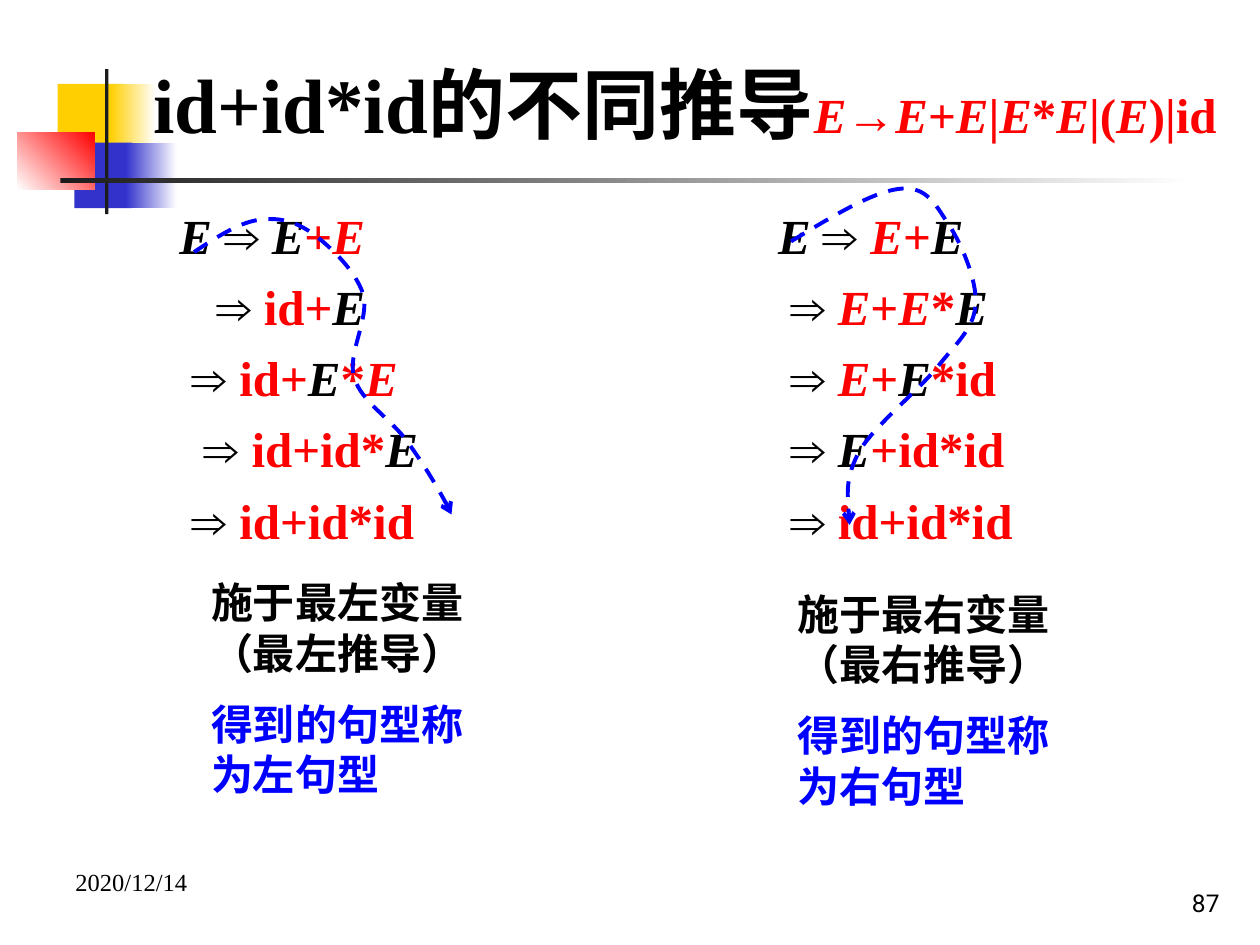
import itertools
from dataclasses import dataclass

import pptx
import pptx.dml.color
import pptx.enum.dml
import pptx.enum.shapes
import pptx.enum.text
import pptx.oxml
import pptx.oxml.ns
import pptx.util

Pt = pptx.util.Pt
qn = pptx.oxml.ns.qn


@dataclass(frozen=True)
class Theme:
    black: str = "000000"
    red: str = "FF0000"
    blue: str = "0000FF"
    white: str = "FFFFFF"
    yellow: str = "FFCF01"
    indigo: str = "3333CC"
    charcoal: str = "1C1C1C"
    serif: str = "Times New Roman"
    sans: str = "Roboto"
    title: int = 44
    formula: int = 28
    caption: int = 24
    footer: int = 14
    indent: int = 15
    space: int = 7  # width of one space in a formula


T = Theme()


def rgb(value):
    return pptx.dml.color.RGBColor.from_string(value)


def text_box(s, x, y, w, h, anchor=pptx.enum.text.MSO_ANCHOR.TOP):
    tf = s.shapes.add_textbox(Pt(x), Pt(y), Pt(w), Pt(h)).text_frame
    tf.word_wrap = True
    tf.vertical_anchor = anchor
    return tf


def next_paragraph(tf, first, space_before, indent):
    p = tf.paragraphs[0] if first else tf.add_paragraph()
    if not first:
        p.space_before = Pt(space_before)
    p._p.get_or_add_pPr().set("marL", str(Pt(indent)))
    return p


def add_run(p, text, size, color=T.black, bold=True, italic=False, font=T.serif):
    r = p.add_run()
    r.text = text
    r.font.name, r.font.size = font, Pt(size)
    r.font.bold, r.font.italic = bold, italic
    r.font.color.rgb = rgb(color)


def add_formula(p, markup):
    """Set [bracketed] parts in red and every variable E in italics."""
    for i, part in enumerate(markup.replace("]", "[").split("[")):
        for italic, chars in itertools.groupby(part, lambda ch: ch == "E"):
            add_run(p, "".join(chars), T.formula, T.red if i % 2 else T.black,
                    italic=italic)


def block(s, x, y, w, h, color, end=None, angle=0):
    """Rectangle, plain or fading from color to end."""
    sp = s.shapes.add_shape(pptx.enum.shapes.MSO_SHAPE.RECTANGLE,
                            Pt(x), Pt(y), Pt(w), Pt(h))
    sp.shadow.inherit = False
    sp.line.fill.background()
    if end is None:
        sp.fill.solid()
        sp.fill.fore_color.rgb = rgb(color)
        return
    sp.fill.gradient()
    sp.fill.gradient_angle = angle
    for stop, value in zip(sp.fill.gradient_stops, (color, end)):
        stop.color.rgb = rgb(value)


def ornament(s, x, y):
    block(s, x + 23, y + 8.5, 37.5, 37.5, T.yellow)
    block(s, x + 53, y + 8.5, 26, 37.5, T.yellow, T.white)
    block(s, x + 32.5, y + 42, 33, 37.5, T.indigo)
    block(s, x + 62, y + 42, 29, 37.5, T.indigo, T.white)
    block(s, x, y + 36, 44, 33, T.white, T.red, 45)
    block(s, x + 50, y, 2, 83, T.charcoal)
    block(s, x + 24.5, y + 62.5, 648, 2.5, T.charcoal, T.white)


def title(s, x, y, w, h):
    p = text_box(s, x, y, w, h, pptx.enum.text.MSO_ANCHOR.MIDDLE).paragraphs[0]
    add_run(p, "id+id*id的不同推导", T.title)
    add_formula(p, "[E→E+E|E*E|(E)|id]")


def curved_arrow(s, x, y, points):
    """Dashed Bezier arrow; points are a start, then three per curve."""
    start, *rest = [(Pt(x + dx), Pt(y + dy)) for dx, dy in points]
    fb = s.shapes.build_freeform(*start, scale=1)
    fb.add_line_segments(rest, close=False)
    sp = fb.convert_to_shape()
    lines = list(sp._element.iter(qn("a:lnTo")))
    for i in range(0, len(lines), 3):
        curve = pptx.oxml.parse_xml(
            f'<a:cubicBezTo {pptx.oxml.ns.nsdecls("a")}/>')
        lines[i].addprevious(curve)
        for ln in lines[i:i + 3]:
            curve.append(ln[0])
            ln.getparent().remove(ln)
    sp.shadow.inherit = False
    sp.fill.background()
    sp.line.color.rgb = rgb(T.blue)
    sp.line.width = Pt(2.25)
    sp.line.dash_style = pptx.enum.dml.MSO_LINE.DASH
    sp.line._get_or_add_ln().append(pptx.oxml.parse_xml(
        f'<a:tailEnd {pptx.oxml.ns.nsdecls("a")} type="arrow"/>'))


def derivation(s, x, y, w, h, steps, points):
    """Formula steps, each with its offset in spaces, and the arrow over them."""
    tf = text_box(s, x, y, w, h)
    for i, (offset, markup) in enumerate(steps):
        add_formula(next_paragraph(tf, i == 0, 7, T.indent + offset * T.space),
                    markup)
    curved_arrow(s, x, y, points)


def caption(s, x, y, w, h, side):
    tf = text_box(s, x, y, w, h)
    lines = ((f"施于最{side}变量（最{side}推导）", T.black),
             (f"得到的句型称为{side}句型", T.blue))
    for i, (text, color) in enumerate(lines):
        add_run(next_paragraph(tf, i == 0, 12, T.indent), text, T.caption, color)


def footer(s, x, y, w, h):
    p = text_box(s, x, y, 168, h).paragraphs[0]
    add_run(p, "2020/12/14", T.footer, bold=False)
    p = text_box(s, x + w - 150, y, 150, h - 1,
                 pptx.enum.text.MSO_ANCHOR.BOTTOM).paragraphs[0]
    p.alignment = pptx.enum.text.PP_ALIGN.RIGHT
    add_run(p, "87", T.footer, bold=False, font=T.sans)


LEFT_STEPS = [(0, "E ⇒ E[+E]"), (3, "⇒ [id+]E"), (1, "⇒ [id+]E[*E]"),
              (2, "⇒ [id+id*]E"), (1, "⇒ [id+id*id]")]
RIGHT_STEPS = [(0, "E ⇒ [E+]E"), (1, "⇒ [E+E*]E"), (1, "⇒ [E+]E[*id]"),
               (1, "⇒ E[+id*id]"), (1, "⇒ [id+id*id]")]
LEFT_CURVE = [
    (30.5, 30), (42.5, 22), (55, 14), (65.5, 12),
    (76.5, 10), (86, 11.5), (96, 18), (106.5, 25), (122.5, 40), (127, 54),
    (131, 68), (117.5, 88.5), (122, 102), (126, 115.5), (142.5, 125), (152, 138),
    (161.5, 151), (175, 173.5), (177.5, 180)]
RIGHT_CURVE = [
    (29.5, 24), (52.5, 10), (75.5, -4), (91, -6),
    (105.5, -8), (111, 1), (118, 12), (126, 23), (136, 46), (135, 60),
    (134, 74), (124, 82), (113, 96), (101.5, 110), (77, 129.5), (68.5, 144),
    (60.5, 159), (62, 172.5), (63, 186)]


def main():
    prs = pptx.Presentation()
    prs.slide_width, prs.slide_height = Pt(720), Pt(540)
    s = prs.slides.add_slide(prs.slide_layouts[6])
    ornament(s, 10, 39.5)
    title(s, 80.5, 34.5, 639.5, 48)
    derivation(s, 80.5, 114, 210, 202, LEFT_STEPS, LEFT_CURVE)
    derivation(s, 422.5, 114, 228, 202, RIGHT_STEPS, RIGHT_CURVE)
    caption(s, 98.5, 326, 193, 138, "左")
    caption(s, 433.5, 332.5, 181.5, 138, "右")
    footer(s, 36, 492, 668, 37)
    prs.save("out.pptx")


if __name__ == "__main__":
    main()
